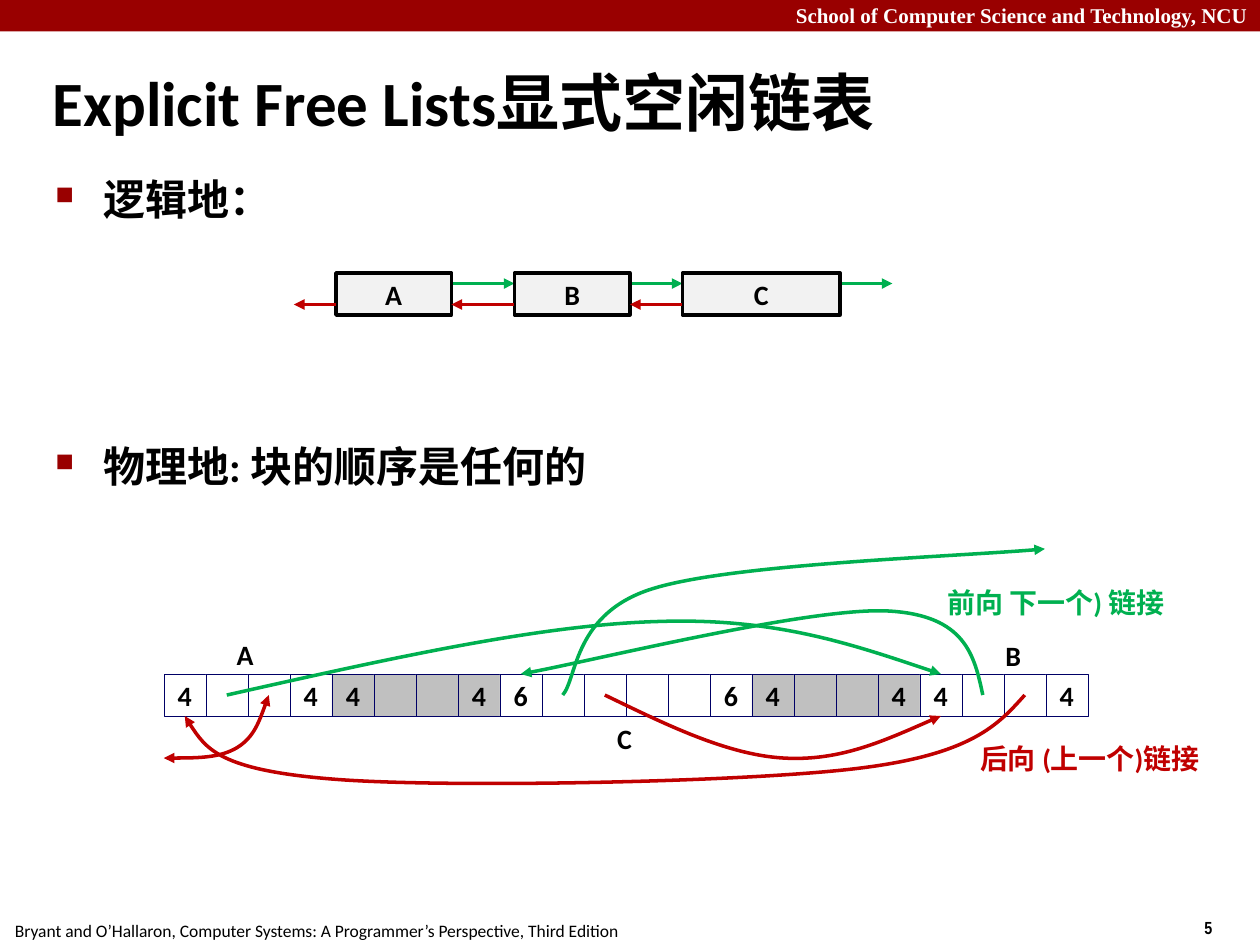
from dataclasses import dataclass

from lxml import etree
from pptx import Presentation
from pptx.dml.color import RGBColor
from pptx.enum.shapes import MSO_CONNECTOR, MSO_SHAPE
from pptx.enum.text import MSO_ANCHOR, PP_ALIGN
from pptx.oxml.ns import qn
from pptx.util import Inches, Pt

RECT = MSO_SHAPE.RECTANGLE
LINE = MSO_CONNECTOR.STRAIGHT
LEFT, MID, RIGHT = PP_ALIGN.LEFT, PP_ALIGN.CENTER, PP_ALIGN.RIGHT
TOP, CENTER = MSO_ANCHOR.TOP, MSO_ANCHOR.MIDDLE


@dataclass(frozen=True)
class Theme:
    brand: str = "990000"
    ink: str = "000000"
    paper: str = "FFFFFF"
    node: str = "F2F2F2"
    used: str = "C0C0C0"
    edge: str = "000066"
    next: str = "00B050"
    prev: str = "C00000"
    font: str = "Calibri"
    serif: str = "Times New Roman"
    narrow: str = "Arial Narrow"
    title: int = 36
    body: int = 24
    label: int = 16
    head: int = 12
    foot: int = 10
    thick: float = 2
    thin: float = 0.25


@dataclass(frozen=True)
class Node:
    name: str
    col: float
    cols: float


@dataclass(frozen=True)
class Block:
    size: int
    fill: str


@dataclass(frozen=True)
class Curve:
    color: str
    points: tuple
    both: bool = False


@dataclass(frozen=True)
class Label:
    words: str
    box: tuple
    color: str


T = Theme()
COLS, ROWS = 30, 22.5
HEAP = (3.9, 16.05)
NODE_ROW, NEXT_ROW, PREV_ROW = 6.5, 6.75, 7.25

NODES = (Node("A", 8, 2.75), Node("B", 12.25, 2.75), Node("C", 16.25, 3.75))
BLOCKS = (
    Block(4, T.paper), Block(4, T.used), Block(6, T.paper),
    Block(4, T.used), Block(4, T.paper),
)
CURVES = (
    Curve(T.next, ((1.5, 0.5), (5.2, -0.33), (8.9, -1.17), (11.75, -1.25),
                   (14.58, -1.35), (16.55, -0.65), (18.5, 0))),
    Curve(T.next, ((19.5, 0.5), (19.3, -0.45), (19.08, -1.4), (17.25, -1.5),
                   (15.42, -1.6), (9.95, -0.25), (8.5, 0))),
    Curve(T.prev, ((20.5, 0.5), (19.87, 1.2), (19.25, 1.92), (16.5, 2.25),
                   (13.75, 2.58), (6.65, 2.72), (4, 2.5),
                   (1.3, 2.28), (0.9, 1.65), (0.5, 1))),
    Curve(T.prev, ((10.5, 0.5), (11.95, 1.2), (13.4, 1.92), (14.75, 2),
                   (16.1, 2.08), (17.28, 1.53), (18.5, 1))),
    Curve(T.next, ((9.5, 0.5), (9.85, 0.1), (9.75, -1.48), (11.7, -2.05),
                   (13.6, -2.62), (19.05, -2.8), (20.98, -2.98))),
    Curve(T.prev, ((2.5, 0.5), (2.32, 1), (2.15, 1.5), (1.75, 1.75),
                   (1.33, 2), (0.67, 2), (0, 2)), both=True),
)
LABELS = (
    Label("前向 下一个) 链接", (22.26, 13.8, 6.09, 1.11), T.next),
    Label("后向 (上一个)链接", (23.04, 17.52, 6.45, 1.11), T.prev),
    Label("A", (5.34, 15.03, 1, 1.11), T.ink),
    Label("B", (23.64, 15.06, 0.96, 1.11), T.ink),
    Label("C", (14.4, 17.04, 0.93, 1.11), T.ink),
)


def grid(*cells: float) -> list:
    return [Inches(cell / 3) for cell in cells]


def rgb(color: str) -> RGBColor:
    return RGBColor.from_string(color)


def write(shape, *lines: str, size=T.label, font=T.font, color=T.ink, bold=True,
          align=LEFT, anchor=TOP, wrap=False, space=None, gap=0):
    frame = shape.text_frame
    frame.word_wrap = wrap
    frame.vertical_anchor = anchor
    for index, words in enumerate(lines):
        para = frame.add_paragraph() if index else frame.paragraphs[0]
        para.alignment = align
        para.line_spacing = space
        para.space_before = Pt(gap if index else 0)
        run = para.add_run()
        run.text = words
        run.font.size = Pt(size)
        run.font.name = font
        run.font.bold = bold
        run.font.color.rgb = rgb(color)
    return frame


def text(slide, box: tuple, *lines: str, **look):
    return write(slide.shapes.add_textbox(*grid(*box)), *lines, **look)


def rect(slide, box: tuple, fill: str, edge: str = "", width: float = 0):
    shape = slide.shapes.add_shape(RECT, *grid(*box))
    shape.shadow.inherit = False
    shape.fill.solid()
    shape.fill.fore_color.rgb = rgb(fill)
    if edge:
        shape.line.color.rgb = rgb(edge)
        shape.line.width = Pt(width)
    else:
        shape.line.fill.background()
    return shape


def tip(shape, color: str, both: bool = False) -> None:
    shape.line.color.rgb = rgb(color)
    shape.line.width = Pt(T.thick)
    stroke = shape.element.spPr.find(qn("a:ln"))
    for end in ("a:headEnd", "a:tailEnd") if both else ("a:tailEnd",):
        etree.SubElement(stroke, qn(end), type="triangle")


def arrow(slide, start: float, stop: float, row: float, color: str) -> None:
    line = slide.shapes.add_connector(LINE, *grid(start, row, stop, row))
    tip(line, color)
    etree.SubElement(line.element.spPr, qn("a:effectLst"))


def bend(slide, curve: Curve) -> None:
    spots = [grid(HEAP[0] + x, HEAP[1] + y) for x, y in curve.points]
    pen = slide.shapes.build_freeform(*spots[0], scale=1.0)
    pen.add_line_segments(spots[1:], close=False)
    shape = pen.convert_to_shape()
    shape.shadow.inherit = False
    shape.fill.background()
    tip(shape, curve.color, curve.both)
    track = next(shape.element.iter(qn("a:path")))
    legs = track.findall(qn("a:lnTo"))
    for first in range(0, len(legs), 3):
        cubic = etree.SubElement(track, qn("a:cubicBezTo"))
        for leg in legs[first:first + 3]:
            cubic.append(leg[0])
            track.remove(leg)


def bullet(para) -> None:
    props = para._p.get_or_add_pPr()
    props.set("marL", str(Inches(0.38)))
    props.set("indent", str(-Inches(0.38)))
    tint = etree.SubElement(props, qn("a:buClr"))
    etree.SubElement(tint, qn("a:srgbClr"), val=T.brand)
    etree.SubElement(props, qn("a:buSzPct"), val="60000")
    etree.SubElement(props, qn("a:buChar"), char="■")


def chain(slide) -> None:
    ends = [node.col + node.cols for node in NODES]
    after = [node.col for node in NODES[1:]] + [ends[-1] + 1.25]
    for start, stop in zip(ends, after):
        arrow(slide, start, stop, NEXT_ROW, T.next)
    for node in NODES:
        box = rect(slide, (node.col, NODE_ROW, node.cols, 1), T.node, T.ink, T.thick)
        write(box, node.name, align=MID, anchor=CENTER)
    for node, stop in zip(NODES, [NODES[0].col - 1] + ends):
        arrow(slide, node.col, stop, PREV_ROW, T.prev)


def heap(slide) -> None:
    col, row = HEAP
    for block in BLOCKS:
        for index in range(block.size):
            cell = rect(slide, (col, row, 1, 1), block.fill, T.edge, T.thin)
            if index in (0, block.size - 1):
                write(cell, str(block.size), align=MID, anchor=CENTER)
            col += 1


def main() -> None:
    deck = Presentation()
    deck.slide_width, deck.slide_height = grid(COLS, ROWS)
    slide = deck.slides.add_slide(deck.slide_layouts[6])
    rect(slide, (0, 0, COLS, 0.75), T.brand)
    text(slide, (0, -0.09, COLS, 0.9), "School of Computer Science and Technology, NCU",
         size=T.head, font=T.serif, color=T.paper, align=RIGHT, wrap=True)
    text(slide, (28.38, 21.69, 2.25, 0.81), "5", size=T.foot, font=T.narrow, wrap=True)
    text(slide, (0.06, 21.75, 15.03, 0.81),
         "Bryant and O’Hallaron, Computer Systems: A Programmer’s Perspective, Third Edition",
         size=T.foot, bold=False)
    text(slide, (0.96, 1.59, 21.42, 1.89), "Explicit Free Lists显式空闲链表",
         size=T.title, anchor=CENTER, wrap=True, space=0.87)
    body = text(slide, (1.02, 4.17, 27.27, 7.98), "逻辑地：", "物理地: 块的顺序是任何的",
                size=T.body, wrap=True, space=0.85, gap=128)
    for para in body.paragraphs:
        bullet(para)
    chain(slide)
    heap(slide)
    for curve in CURVES:
        bend(slide, curve)
    for label in LABELS:
        text(slide, label.box, label.words, color=label.color)
    deck.save("out.pptx")


if __name__ == "__main__":
    main()
